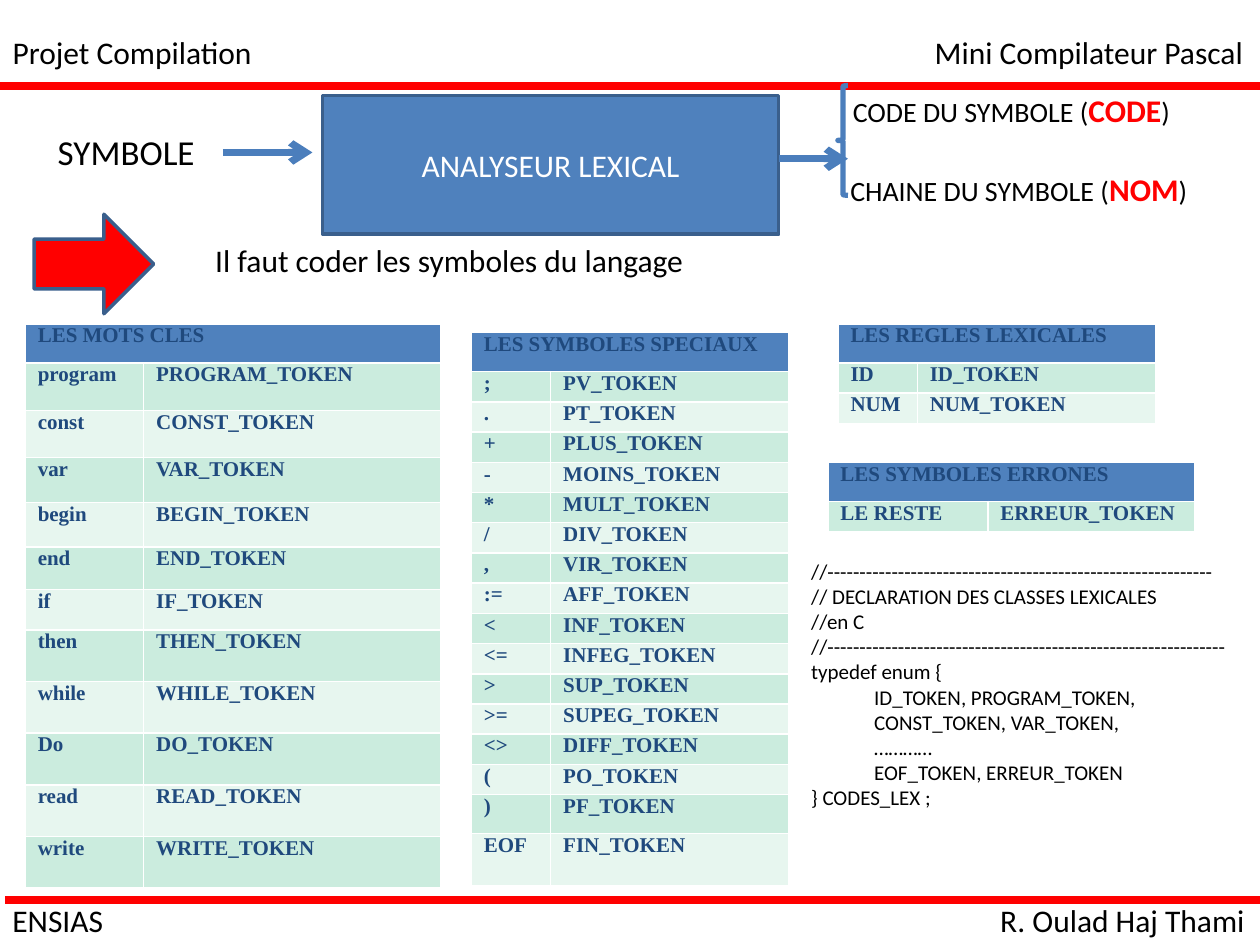
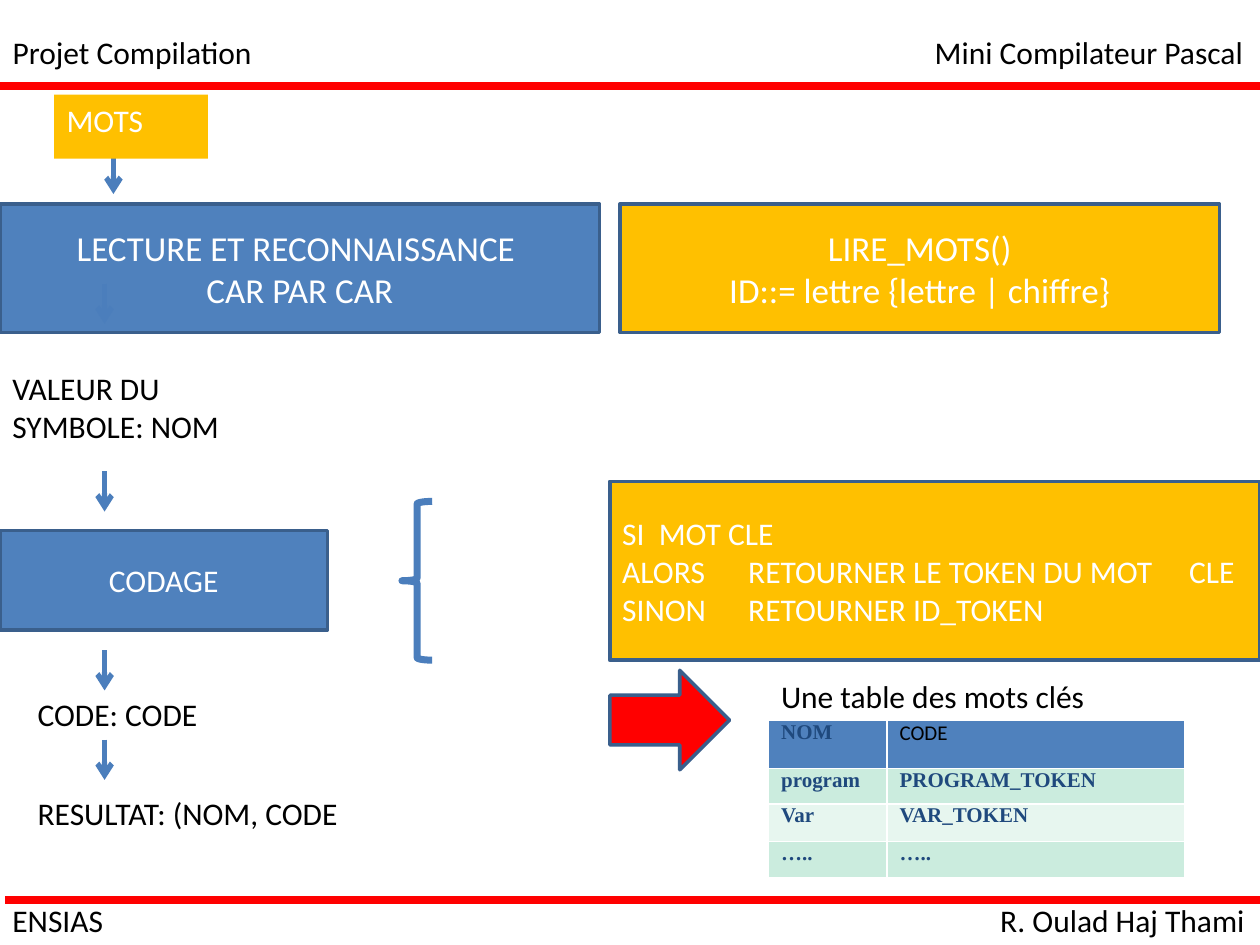
from pptx import Presentation
from pptx.dml.color import RGBColor
from pptx.enum.shapes import MSO_CONNECTOR, MSO_SHAPE
from pptx.enum.text import MSO_ANCHOR, MSO_AUTO_SIZE, PP_ALIGN
from pptx.oxml.ns import qn
from pptx.util import Inches, Pt
from lxml import etree

RECT, BRACE, DOWN = MSO_SHAPE.RECTANGLE, MSO_SHAPE.LEFT_BRACE, MSO_SHAPE.DOWN_ARROW
STRAIGHT = MSO_CONNECTOR.STRAIGHT
LEFT, CENTER = PP_ALIGN.LEFT, PP_ALIGN.CENTER
TOP, MIDDLE = MSO_ANCHOR.TOP, MSO_ANCHOR.MIDDLE
GROW, FIXED = MSO_AUTO_SIZE.SHAPE_TO_FIT_TEXT, MSO_AUTO_SIZE.NONE

W, H = 10, 7.5
SANS, SERIF = "Calibri", "Times New Roman"
BLACK, WHITE, RED, GOLD = "000000", "FFFFFF", "FF0000", "FFC000"
BLUE, OUTLINE, ARROW, NAVY = "4F81BD", "3A5F8C", "4B7EBC", "1F497D"
BANDS = ("CBECDE", "E7F6EF")
TITLE_BOX = (0, 0.21, 2.12, 0.4)
RULES = [(0, 0.68), (0.04, 7.14)]

TITLE = "Projet Compilation"
FRAME = [
    ("Mini Compilateur Pascal", (7.32, 0.21, 2.68, 0.4)),
    ("ENSIAS", (0, 7.1, 0.93, 0.4)),
    ("R. Oulad Haj Thami", (7.84, 7.1, 2.16, 0.4)),
]
KEYWORDS = ["program", "const", "var", "begin", "end", "if", "then", "while", "Do", "read", "write"]
SYMBOLS = [
    (";", "PV"), (".", "PT"), ("+", "PLUS"), ("-", "MOINS"), ("*", "MULT"), ("/", "DIV"),
    (",", "VIR"), (":=", "AFF"), ("<", "INF"), ("<=", "INFEG"), (">", "SUP"), (">=", "SUPEG"),
    ("<>", "DIFF"), ("(", "PO"), (")", "PF"), ("EOF", "FIN"),
]
RULE_NAMES = [("ID", "ID"), ("NUM", "NUM")]
ERRORS = [("LE RESTE", "ERREUR")]
KEY_COLS, SYMBOL_COLS = (0.94, 2.36), (0.63, 1.89)
HEAD, ROW, TALL = 0.31, 0.24, 0.41


def tokens(pairs):
    return [(name, code + "_TOKEN") for name, code in pairs]


TOKEN_TABLES = [
    ("LES MOTS CLES", tokens((k, k.upper()) for k in KEYWORDS), (0.2, 2.57), KEY_COLS,
     [HEAD, 0.38, 0.37, 0.36, 0.35, 0.34, 0.32] + [TALL] * 5),
    ("LES SYMBOLES SPECIAUX", tokens(SYMBOLS), (3.74, 2.64), SYMBOL_COLS,
     [HEAD] + [ROW] * 14 + [HEAD, TALL]),
    ("LES REGLES LEXICALES", tokens(RULE_NAMES), (6.65, 2.57), SYMBOL_COLS, [HEAD, ROW, ROW]),
    ("LES SYMBOLES ERRONES", tokens(ERRORS), (6.57, 3.67), (1.27, 1.64), [HEAD, ROW]),
]
CODE = [
    "//" + "-" * 60,
    "// DECLARATION DES CLASSES LEXICALES",
    "//en C",
    "//" + "-" * 62,
    "typedef enum {",
    "\tID_TOKEN, PROGRAM_TOKEN,",
    "\tCONST_TOKEN, VAR_TOKEN,",
    "\t…………",
    "\tEOF_TOKEN, ERREUR_TOKEN",
    "} CODES_LEX ;",
]
HOT = dict(size=18, color=RED, bold=True)
OUTPUTS = [
    ([("CODE DU SYMBOLE (", {}), ("CODE", HOT), (")", {})], (6.67, 0.67, 2.75, 0.4)),
    ([("CHAINE DU SYMBOLE (", {}), ("NOM", HOT), (") ", {})], (6.65, 1.3, 3.43, 0.4)),
]
STEPS = [
    (["VALEUR DU ", "SYMBOLE: NOM"], (0, 2.88, 2.13, 0.71)),
    (["CODE: CODE"], (0.2, 5.47, 1.48, 0.4)),
    (["RESULTAT: (NOM, CODE"], (0.2, 6.25, 2.61, 0.4)),
    (["Une table des mots clés"], (6.1, 5.32, 3.38, 0.51)),
]
STEP_ARROWS = [(0.9, 1.22), (0.83, 2.25), (0.83, 3.74), (0.83, 5.16), (0.83, 5.87)]
STEP_BOXES = [
    (["LECTURE ET RECONNAISSANCE ", "CAR PAR CAR"], (0, 1.62, 4.76, 1.02), BLUE, 20, CENTER),
    (["LIRE_MOTS()", "ID::= lettre {lettre | chiffre}"], (4.92, 1.62, 4.76, 1.02), GOLD, 20, CENTER),
    (["CODAGE"], (0, 4.21, 2.6, 0.79), BLUE, 18, CENTER),
    (["SI  MOT CLE", "ALORS  \tRETOURNER LE TOKEN DU MOT \tCLE", "SINON \tRETOURNER ID_TOKEN"],
     (4.84, 3.82, 5.16, 1.42), GOLD, 18, LEFT),
]
KEY_ROWS = [("program", "PROGRAM_TOKEN"), ("Var", "VAR_TOKEN"), ("…..", "…..")]


def rgb(color):
    return RGBColor.from_string(color)


def inches(values):
    return [Inches(v) for v in values]


def write(tf, paragraphs, size=18, color=BLACK, font=SANS, bold=False, align=LEFT, anchor=TOP):
    if hasattr(tf, "vertical_anchor"):
        tf.vertical_anchor = anchor
    for i, content in enumerate(paragraphs):
        p = tf.add_paragraph() if i else tf.paragraphs[0]
        p.alignment = align
        runs = [(content, {})] if isinstance(content, str) else content
        for text, own in runs:
            look = dict(size=size, color=color, bold=bold, **{"font": font}) | own
            r = p.add_run()
            r.text = text
            r.font.name, r.font.size, r.font.bold = look["font"], Pt(look["size"]), look["bold"]
            r.font.color.rgb = rgb(look["color"])


def add_text(s, paragraphs, box, wrap=False, **look):
    tf = s.shapes.add_textbox(*inches(box)).text_frame
    tf.word_wrap, tf.auto_size = wrap, GROW
    write(tf, paragraphs, **look)


def add_shape(s, kind, box, fill=None, line=OUTLINE, width=2):
    sp = s.shapes.add_shape(kind, *inches(box))
    sp.shadow.inherit = False
    if fill:
        sp.fill.solid()
        sp.fill.fore_color.rgb = rgb(fill)
    else:
        sp.fill.background()
    if line:
        sp.line.color.rgb, sp.line.width = rgb(line), Pt(width)
    else:
        sp.line.fill.background()
    return sp


def add_box(s, paragraphs, box, fill, size=18, align=CENTER, anchor=MIDDLE, line=OUTLINE):
    tf = add_shape(s, RECT, box, fill, line).text_frame
    tf.word_wrap = True
    write(tf, paragraphs, size=size, color=WHITE, align=align, anchor=anchor)


def add_line(s, ends, color, width, arrow=False):
    cx = s.shapes.add_connector(STRAIGHT, *inches(ends))
    cx.line.color.rgb, cx.line.width = rgb(color), Pt(width)
    if arrow:
        etree.SubElement(cx.line._get_or_add_ln(), qn("a:tailEnd"), type="arrow")
    etree.SubElement(cx._element.spPr, qn("a:effectLst"))


def add_pointer(s, x, y):
    add_shape(s, DOWN, (x, y, 0.79, 0.95), RED).rotation = 270


def add_table(s, header, rows, at, cols, heights):
    size = (sum(cols), sum(heights))
    table = s.shapes.add_table(len(heights), len(cols), *inches(at + size)).table
    for col, width in zip(table.columns, cols):
        col.width = Inches(width)
    for row, height in zip(table.rows, heights):
        row.height = Inches(height)
    if len(header) == 1:
        table.cell(0, 0).merge(table.cell(0, 1))
    for i, values in enumerate([header] + rows):
        for j in range(len(cols)):
            cell = table.cell(i, j)
            cell.fill.solid()
            cell.fill.fore_color.rgb = rgb(BANDS[(i - 1) % 2] if i else BLUE)
            cell.margin_left = cell.margin_right = Inches(0.1)
            cell.margin_top = cell.margin_bottom = 0
            if j < len(values):
                write(cell.text_frame, [values[j]], size=12, color=NAVY, font=SERIF, bold=True)


def add_slide(prs):
    s = prs.slides.add_slide(prs.slide_layouts[5])
    title = s.shapes.title
    title.left, title.top, title.width, title.height = inches(TITLE_BOX)
    title.text_frame.word_wrap, title.text_frame.auto_size = False, FIXED
    write(title.text_frame, [TITLE])
    for text, box in FRAME:
        add_text(s, [text], box)
    for x, y in RULES:
        add_line(s, (x, y, x + W, y), RED, 4.5)
    return s


prs = Presentation()
prs.slide_width, prs.slide_height = inches((W, H))

s = add_slide(prs)
add_text(s, ["SYMBOLE"], (0.36, 0.99, 1.55, 0.44), size=20)
add_box(s, ["ANALYSEUR LEXICAL"], (2.56, 0.76, 3.62, 1.1), BLUE)
add_shape(s, BRACE, (6.65, 0.68, 0.08, 0.87), line=ARROW, width=3)
for runs, box in OUTPUTS:
    add_text(s, [runs], box, size=16)
for x, y, end in [(1.77, 1.21, 2.48), (6.18, 1.26, 6.73)]:
    add_line(s, (x, y, end, y), ARROW, 4, arrow=True)
add_text(s, ["Il faut coder les symboles du langage"], (1.61, 1.86, 5.21, 0.51))
add_pointer(s, 0.35, 1.62)
for name, rows, at, cols, heights in TOKEN_TABLES:
    add_table(s, [name], rows, at, cols, heights)
add_text(s, CODE, (6.34, 4.38, 3.66, 2.32), wrap=True, size=12)

s = add_slide(prs)
for lines, box, fill, size, align in STEP_BOXES:
    add_box(s, lines, box, fill, size, align)
for lines, box in STEPS:
    add_text(s, lines, box)
for x, y in STEP_ARROWS:
    add_line(s, (x, y, x, y + 0.32), ARROW, 3, arrow=True)
add_shape(s, BRACE, (3.19, 3.98, 0.24, 1.26), line=ARROW, width=4)
add_box(s, ["MOTS "], (0.43, 0.75, 1.22, 0.51), GOLD, align=LEFT, anchor=TOP, line=None)
add_pointer(s, 4.92, 5.24)
plain = dict(font=SANS, color=BLACK, bold=False)
add_table(s, ["NOM", [("CODE", plain)]], KEY_ROWS, (6.1, 5.72), KEY_COLS, [0.38, 0.28, 0.3, 0.29])

prs.save("out.pptx")
